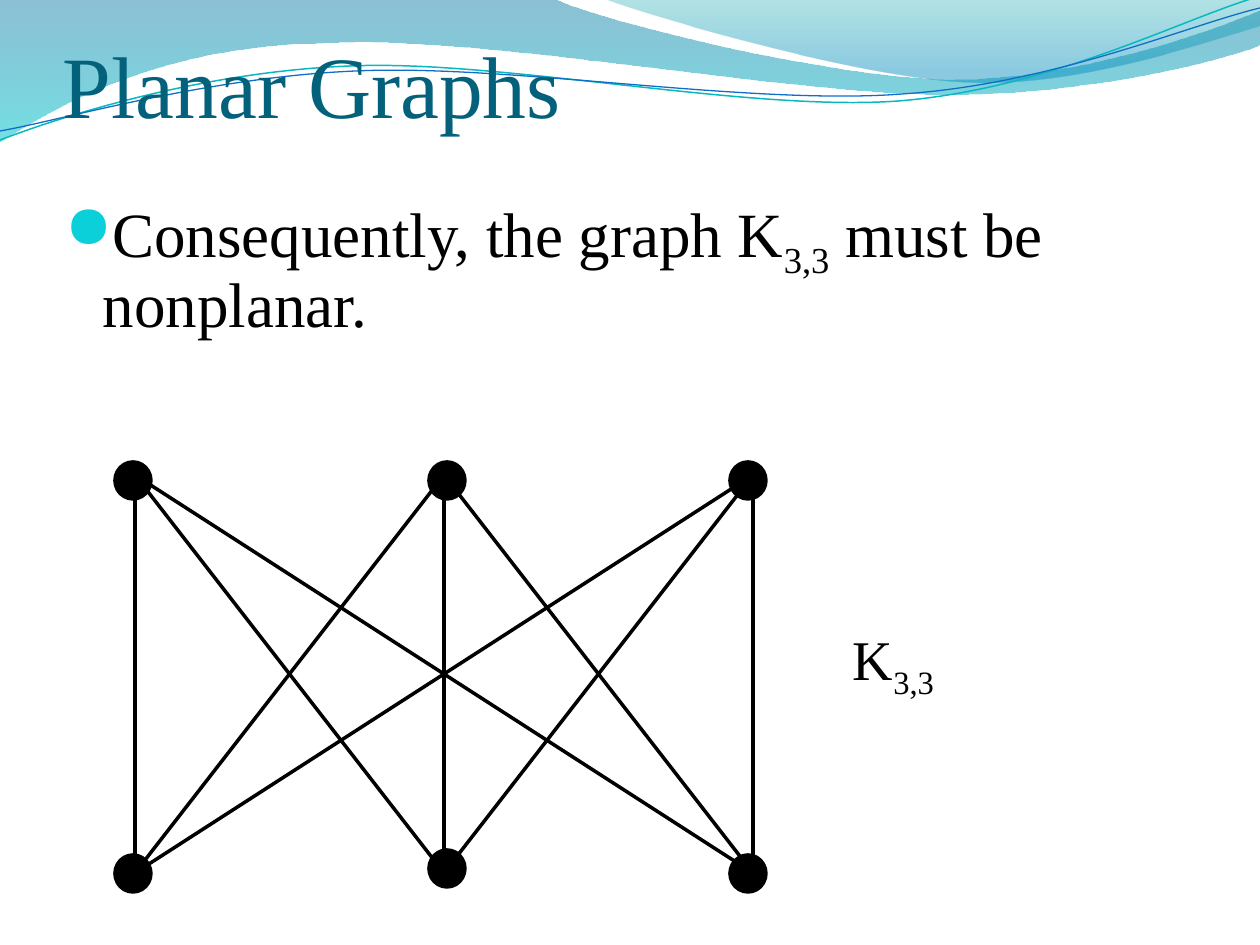
from itertools import product
from lxml.etree import SubElement
from pptx import Presentation
from pptx.dml.color import RGBColor
from pptx.enum.shapes import MSO_CONNECTOR, MSO_SHAPE
from pptx.enum.text import MSO_ANCHOR
from pptx.oxml.ns import qn
from pptx.util import Emu, Pt

PX = 914400 / 126
FONT = "Times New Roman"
COLORS = {"title": "04617B", "ink": "000000", "bullet": "0BD0D9",
          "teal": "0AB8BF", "blue": "0F6FC6"}

# Text: (words, baseline) runs
TITLE = [("Planar Graphs", 0)]
BODY = [("Consequently, the graph K", 0), ("3,3", -25), (" must be nonplanar.", 0)]
LABEL = [("K", 0), ("3,3", -25)]

# Outlines: each step holds one point for a line, three for a curve
# Gradient stops: (place, colour, opacity in percent)
WAVES = [
    ([[(0, 0)], [(554, -1)],
      [(600, 21), (837, 79), (955, 79)], [(1075, 79), (1207, 33), (1260, 11)],
      [(1261, 45)],
      [(1239, 55), (1096, 96), (940, 94)], [(784, 94), (481, 35), (324, 43)],
      [(163, 45), (58, 105), (-1, 142)]],
     [(0, "0074A1", 45), (1, "00C6CF", 55)]),
    ([[(604, -1)],
      [(641, 14), (859, 78), (969, 82)], [(1079, 87), (1211, 40), (1260, 26)],
      [(1260, 0)]],
     [(0, "00A1A9", 30), (0.8, "008BBF", 45)]),
]
STRANDS = [
    ([[(0, 140)], [(60, 117), (199, 72), (349, 66)],
      [(498, 59), (747, 112), (898, 101)], [(1050, 89), (1182, 19), (1257, -3)]],
     "teal", 0.85),
    ([[(0, 131)], [(59, 121), (207, 77), (357, 71)],
      [(508, 64), (752, 106), (903, 94)], [(1053, 84), (1186, 26), (1260, 8)]],
     "blue", 0.75),
]

# Graph: edge ends and the left, top of each dot
EDGE_X = [135, 444, 753]
EDGE_Y = [475, 873]
DOTS = [(115, 462), (429, 462), (730, 462), (115, 855), (429, 850), (730, 855)]
DOT_SIZE = (36, 37)


def emu(*nums):
    return [Emu(round(n * PX)) for n in nums]


def rgb(name):
    return RGBColor.from_string(COLORS.get(name, name))


def add_path(steps, close):
    """Lay all points as lines, then join each group of three into a curve."""
    first, *rest = [emu(*point) for step in steps for point in step]
    pen = slide.shapes.build_freeform(*first, scale=1.0)
    pen.add_line_segments(rest, close=close)
    shape = pen.convert_to_shape()
    shape.shadow.inherit = False
    lines = iter(list(shape._element.spPr.iter(qn("a:lnTo"))))
    for step in steps[1:]:
        group = [next(lines) for _ in step]
        if len(group) == 3:
            outline = group[0].getparent()
            curve = SubElement(outline, qn("a:cubicBezTo"))
            group[0].addprevious(curve)
            for line in group:
                curve.append(line[0])
                outline.remove(line)
    return shape


def add_text(runs, box, size, color="ink", anchor=MSO_ANCHOR.TOP,
             inset=(13, 6, 13, 6), bullet=None, indent=0, spacing=None):
    frame = slide.shapes.add_textbox(*emu(*box)).text_frame
    frame.word_wrap = True
    frame.vertical_anchor = anchor
    (frame.margin_left, frame.margin_top,
     frame.margin_right, frame.margin_bottom) = emu(*inset)
    para = frame.paragraphs[0]
    if spacing:
        para.line_spacing = spacing
    if bullet:
        props = para._p.get_or_add_pPr()
        props.set("marL", str(emu(indent)[0]))
        props.set("indent", str(emu(-indent)[0]))
        tint = SubElement(props, qn("a:buClr"))
        SubElement(tint, qn("a:srgbClr"), val=COLORS["bullet"])
        SubElement(props, qn("a:buSzPct"), val="95000")
        SubElement(props, qn("a:buFont"), typeface="OpenSymbol")
        SubElement(props, qn("a:buChar"), char=bullet)
    for words, base in runs:
        run = para.add_run()
        run.text = words
        run.font.name = FONT
        run.font.size = Pt(size)
        run.font.color.rgb = rgb(color)
        if base:
            run.font._element.set("baseline", str(base * 1000))


deck = Presentation()
deck.slide_width, deck.slide_height = emu(1260, 945)
slide = deck.slides.add_slide(deck.slide_layouts[6])

# Header waves
for steps, stops in WAVES:
    wave = add_path(steps, True)
    wave.line.fill.background()
    wave.fill.gradient()
    wave.fill.gradient_angle = 270
    for stop, (place, color, _) in zip(wave.fill.gradient_stops, stops):
        stop.position = place
        stop.color.rgb = rgb(color)
    tints = wave._element.spPr.iter(qn("a:srgbClr"))
    for tint, (_, _, alpha) in zip(list(tints), stops):
        SubElement(tint, qn("a:alpha"), val=str(alpha * 1000))

for steps, color, width in STRANDS:
    strand = add_path(steps, False)
    strand.fill.background()
    strand.line.color.rgb = rgb(color)
    strand.line.width = Pt(width)

# Wording
add_text(TITLE, (63, 20, 1134, 116), 50, color="title",
         anchor=MSO_ANCHOR.BOTTOM, inset=(0, 6, 0, 0))
add_text(BODY, (52, 190, 1155, 199), 36, bullet="●", indent=38, spacing=0.9)
add_text(LABEL, (840, 619, 136, 79), 32)

# Every top vertex joins every bottom vertex
for top, low in product(EDGE_X, EDGE_X):
    edge = slide.shapes.add_connector(
        MSO_CONNECTOR.STRAIGHT, *emu(top, EDGE_Y[0], low, EDGE_Y[1]))
    edge.line.color.rgb = rgb("ink")
    edge.line.width = Pt(2)
    SubElement(edge._element.spPr, qn("a:effectLst"))

for spot in DOTS:
    dot = slide.shapes.add_shape(MSO_SHAPE.OVAL, *emu(*spot, *DOT_SIZE))
    dot.shadow.inherit = False
    dot.fill.solid()
    dot.fill.fore_color.rgb = rgb("ink")
    dot.line.color.rgb = rgb("ink")
    dot.line.width = Pt(2)

deck.save("out.pptx")
